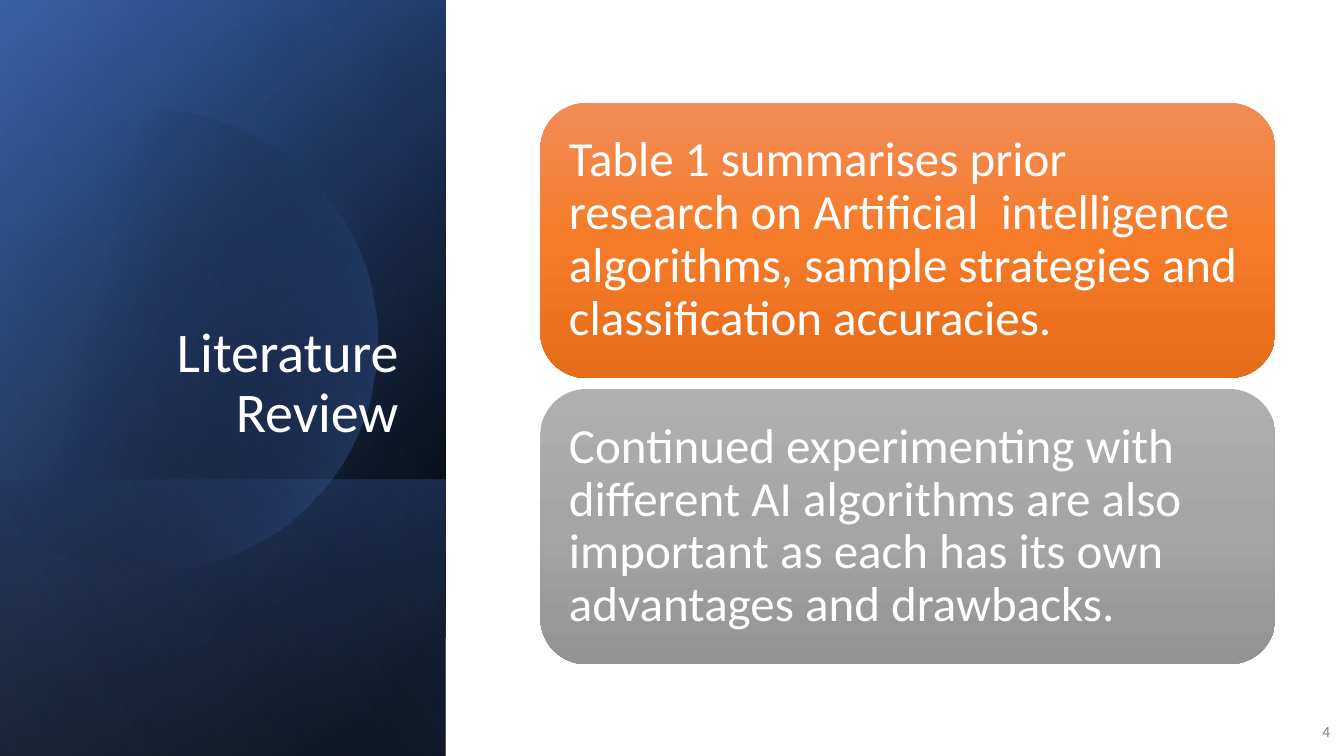
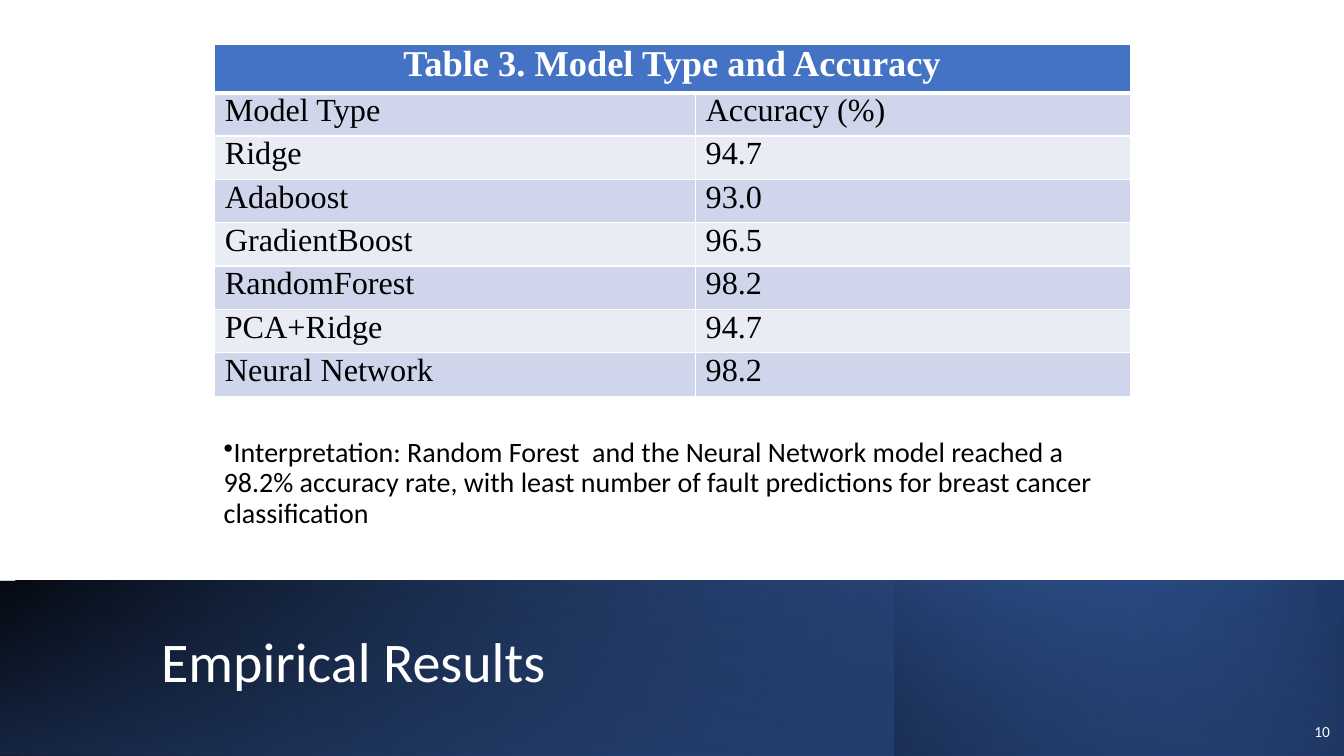
"""Build two slides: a literature review panel and a table of model accuracy."""
from math import acos, cos, degrees, radians, sin

from pptx import Presentation
from pptx.dml.color import RGBColor
from pptx.enum.shapes import MSO_SHAPE as Shape
from pptx.enum.text import MSO_ANCHOR as Anchor, PP_ALIGN as Align
from pptx.oxml import parse_xml
from pptx.oxml.ns import nsdecls, qn
from pptx.util import Pt

PX = 9144
WIDTH, HEIGHT = 1333, 750
PANEL_WIDTH = 442
BAND_TOP = 576
BODY_FONT, TABLE_FONT = "Calibri", "Times New Roman"
COLORS = {
    "white": "FFFFFF", "black": "000000", "grey": "808080",
    "blue": "4472C4", "deep": "2F5597", "navy": "203864", "pale": "8FAADC",
    "row_dark": "CFD5EA", "row_light": "E9EBF5",
    "orange_top": "F18C57", "orange": "F67B28", "orange_low": "E56C19",
    "silver_top": "AFAFAF", "silver": "A5A5A5", "silver_low": "939393",
}
PANEL_LAYERS = [
    (0, HEIGHT, 220, [(8, "black", 100), (100, "deep", 100)]),
    (0, HEIGHT, 240, [(0, "black", 0), (99, "blue", 46)]),
    (476, 274, 140, [(2, "blue", 29), (100, "black", 30)]),
]
PANEL_GLOSS = (0, HEIGHT, 150, [(0, "black", 0), (99, "pale", 11)])
BAND_LAYERS = [
    (0, 40, [(0, "black", 100), (100, "blue", 100)]),
    (0, 10, [(0, "blue", 0), (100, "navy", 100)]),
    (887, 320, [(0, "navy", 100), (100, "blue", 0)]),
    (0, 100, [(0, "black", 0), (99, "navy", 55)]),
]
CARDS = [
    ("orange", "Table 1 summarises prior research on Artificial  intelligence "
     "algorithms, sample strategies and classification accuracies."),
    ("silver", "Continued experimenting with different AI algorithms are also "
     "important as each has its own advantages and drawbacks."),
]
RESULTS = [
    ("Model Type", "Accuracy (%)"),
    ("Ridge", "94.7"),
    ("Adaboost", "93.0"),
    ("GradientBoost", "96.5"),
    ("RandomForest", "98.2"),
    ("PCA+Ridge", "94.7"),
    ("Neural Network", "98.2"),
]


def px(*lengths):
    """Turn px lengths into EMU."""
    return [length * PX for length in lengths]


def rgb(name):
    """Look up a colour by name."""
    return RGBColor.from_string(COLORS[name])


def write_text(frame, text, *, size, color="white", font=BODY_FONT, bold=False,
               align=Align.LEFT, anchor=None, line=None, after=0, inset=None,
               bullet=None):
    """Write one formatted paragraph into a text frame."""
    frame.word_wrap = True
    if anchor is not None:
        frame.vertical_anchor = anchor
    if inset is not None:
        frame.margin_left = frame.margin_right = inset * PX
        frame.margin_top = frame.margin_bottom = inset * PX
    para = frame.paragraphs[0]
    para.alignment = align
    para.space_after = Pt(after)
    if line:
        para.line_spacing = line
    if bullet:
        settings = para._p.get_or_add_pPr()
        settings.set("marL", "0")
        settings.set("indent", "0")
        settings.append(parse_xml(f'<a:buChar {nsdecls("a")} char="{bullet}"/>'))
    span = para.add_run()
    span.text = text
    span.font.size = Pt(size)
    span.font.name = font
    span.font.bold = bold
    span.font.color.rgb = rgb(color)


def add_text(page, area, text, **style):
    """Add a text box in the given area."""
    box = page.shapes.add_textbox(*px(*area))
    write_text(box.text_frame, text, **style)


def add_title(page, area, text, **style):
    """Add a slide title in the shared style."""
    add_text(page, area, text, size=40, line=0.9, **style)


def add_page_number(page, number, color):
    """Add the page number in the lower right corner."""
    add_text(page, (1280, 706, 49, 40), str(number), size=11, color=color,
             align=Align.RIGHT, anchor=Anchor.MIDDLE, after=6)


def paint_gradient(shape, angle, stops):
    """Fill a shape with stops of position, colour and opacity, without outline."""
    shape.shadow.inherit = False
    shape.line.fill.background()
    shape.fill.gradient()
    marks = "".join(
        f'<a:gs pos="{place * 1000}"><a:srgbClr val="{COLORS[color]}">'
        f'<a:alpha val="{opacity * 1000}"/></a:srgbClr></a:gs>'
        for place, color, opacity in stops)
    gradient = parse_xml(
        f'<a:gradFill {nsdecls("a")} rotWithShape="1"><a:gsLst>{marks}</a:gsLst>'
        f'<a:lin ang="{angle * 60000}" scaled="0"/></a:gradFill>')
    properties = shape._element.spPr
    properties.replace(properties.find(qn("a:gradFill")), gradient)


def add_gradient(page, area, angle, stops, kind=Shape.RECTANGLE):
    """Add a preset shape with a gradient fill."""
    shape = page.shapes.add_shape(kind, *px(*area))
    paint_gradient(shape, angle, stops)
    return shape


def add_panel_layer(page, top, height, angle, stops):
    """Add one layer of the left panel."""
    add_gradient(page, (0, top, PANEL_WIDTH, height), angle, stops)


def add_cut_circle(page, center_x, center_y, radius, angle, stops):
    """Add a circle that is cut off at the left slide edge."""
    reach = degrees(acos(-center_x / radius))
    steps = 90
    turns = [radians(reach * (2 * step / steps - 1)) for step in range(steps + 1)]
    points = [(round(center_x + radius * cos(turn)),
               round(center_y + radius * sin(turn))) for turn in turns]
    builder = page.shapes.build_freeform(*points[0], scale=PX)
    builder.add_line_segments(points[1:], close=True)
    paint_gradient(builder.convert_to_shape(), angle, stops)


def add_card(page, top, tone, text):
    """Add a rounded card with text."""
    stops = [(0, f"{tone}_top", 100), (50, tone, 100), (100, f"{tone}_low", 100)]
    card = add_gradient(page, (536, top, 729, 273), 90, stops,
                        Shape.ROUNDED_RECTANGLE)
    write_text(card.text_frame, text, size=35, line=0.9, inset=15,
               anchor=Anchor.MIDDLE)


def style_cell(cell, fill, top=1, bottom=1):
    """Give a cell its margins, white borders and fill."""
    cell.margin_left = cell.margin_right = 10 * PX
    cell.margin_top = cell.margin_bottom = 0
    settings = cell._tc.get_or_add_tcPr()
    for side, width in (("L", 1), ("R", 1), ("T", top), ("B", bottom)):
        settings.append(parse_xml(
            f'<a:ln{side} {nsdecls("a")} w="{Pt(width)}"><a:solidFill>'
            f'<a:srgbClr val="{COLORS["white"]}"/></a:solidFill></a:ln{side}>'))
    cell.fill.solid()
    cell.fill.fore_color.rgb = rgb(fill)


def add_results_table(page, heading, rows):
    """Add the table with a heading across both columns."""
    widths, heights = (477, 431), [48] + [43] * len(rows)
    area = (213, 44, sum(widths), sum(heights))
    table = page.shapes.add_table(len(heights), len(widths), *px(*area)).table
    table.horz_banding = False
    for column, width in zip(table.columns, widths):
        column.width = width * PX
    for row, height in zip(table.rows, heights):
        row.height = height * PX
    for cell in table.rows[0].cells:
        style_cell(cell, "blue", bottom=3)
    table.cell(0, 0).merge(table.cell(0, 1))
    write_text(table.cell(0, 0).text_frame, heading, size=26, font=TABLE_FONT,
               bold=True, align=Align.CENTER, after=6)
    for index, values in enumerate(rows, 1):
        fill = "row_dark" if index % 2 else "row_light"
        for cell, value in zip(table.rows[index].cells, values):
            style_cell(cell, fill, top=3 if index == 1 else 1)
            write_text(cell.text_frame, value, size=23, color="black",
                       font=TABLE_FONT, align=Align.JUSTIFY)


def build_review(page):
    """Build the literature review slide."""
    for layer in PANEL_LAYERS:
        add_panel_layer(page, *layer)
    add_cut_circle(page, 145, 338, 229, 14, [(29, "black", 0), (100, "blue", 43)])
    add_panel_layer(page, *PANEL_GLOSS)
    add_title(page, (64, 184, 341, 262), "Literature Review",
              align=Align.RIGHT, anchor=Anchor.BOTTOM)
    add_page_number(page, 4, "grey")
    for index, (tone, text) in enumerate(CARDS):
        add_card(page, 102 + 284 * index, tone, text)


def build_results(page):
    """Build the empirical results slide."""
    for left, angle, stops in BAND_LAYERS:
        area = (left, BAND_TOP, WIDTH - left, HEIGHT - BAND_TOP)
        add_gradient(page, area, angle, stops)
    add_title(page, (150, 603, 1082, 113), "Empirical Results",
              anchor=Anchor.MIDDLE)
    add_text(page, (212, 419, 911, 122),
             "Interpretation: Random Forest  and the Neural Network model reached "
             "a 98.2% accuracy rate, with least number of fault predictions for "
             "breast cancer classification",
             size=20, color="black", line=0.9, after=6, anchor=Anchor.MIDDLE,
             bullet="•")
    add_page_number(page, 10, "white")
    add_results_table(page, "Table 3. Model Type and Accuracy", RESULTS)


def main():
    """Build and save the deck."""
    deck = Presentation()
    deck.slide_width, deck.slide_height = px(WIDTH, HEIGHT)
    for build in (build_review, build_results):
        build(deck.slides.add_slide(deck.slide_layouts[6]))
    deck.save("out.pptx")


if __name__ == "__main__":
    main()
